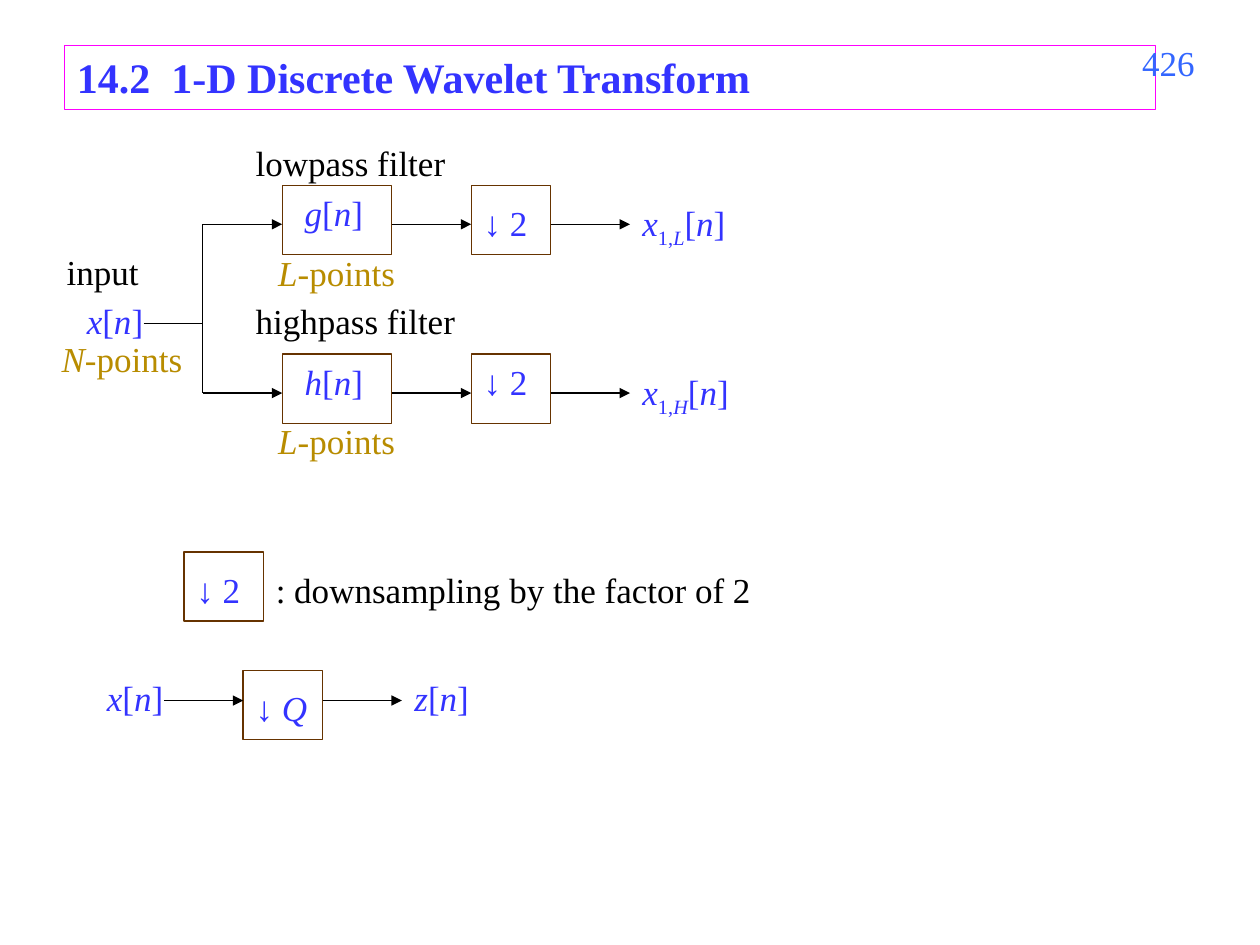
from typing import NamedTuple

from lxml.etree import SubElement
from pptx import Presentation
from pptx.dml.color import RGBColor
from pptx.enum.shapes import MSO_CONNECTOR, MSO_SHAPE
from pptx.enum.text import MSO_ANCHOR, MSO_AUTO_SIZE, PP_ALIGN
from pptx.oxml.ns import qn
from pptx.util import Inches, Pt

FONT = "Times New Roman"
COLORS = {
    "blue": "3333FF",
    "number": "3366FF",
    "black": "000000",
    "gold": "B88C00",
    "box": "663300",
    "frame": "FF00FF",
}
BOX_H = 0.55
FILTER_W, DOWN_W = 0.87, 0.63
ARROW = 0.63
X_SPLIT, X_FILTER = 1.61, 2.24
X_DOWN = X_FILTER + FILTER_W + ARROW
X_OUT = X_DOWN + DOWN_W + ARROW


class Run(NamedTuple):
    text: str
    italic: bool = False
    sub: bool = False


class Label(NamedTuple):
    x: float
    y: float
    w: float
    runs: list[Run]
    color: str = "blue"


class Branch(NamedTuple):
    top: float
    filter_name: str
    subscript: str
    down_y: float
    caption: str
    caption_y: float
    points_y: float


def color(name: str) -> RGBColor:
    return RGBColor.from_string(COLORS[name])


def signal(name: str, subscript: str = "") -> list[Run]:
    """Runs of a sequence such as x[n], with an optional subscript 1,L."""
    subs = [Run("1,", sub=True), Run(subscript, True, True)] if subscript else []
    return [Run(name, True), *subs, Run("["), Run("n", True), Run("]")]


def points(name: str) -> list[Run]:
    return [Run(name, True), Run("-points")]


def add_runs(p, runs: list[Run], color_name: str, size: int = 20, bold: bool = False) -> None:
    for run in runs:
        r = p.add_run()
        r.text = run.text
        r.font.name = FONT
        r.font.size = Pt(size)
        r.font.bold = bold
        r.font.italic = run.italic
        r.font.color.rgb = color(color_name)
        if run.sub:
            r.font._element.set("baseline", "-25000")


def add_label(s, label: Label, align=PP_ALIGN.LEFT) -> None:
    sp = s.shapes.add_textbox(Inches(label.x), Inches(label.y), Inches(label.w), Inches(0.43))
    tf = sp.text_frame
    tf.word_wrap = True
    p = tf.paragraphs[0]
    p.alignment = align
    add_runs(p, label.runs, label.color)


def add_box(s, x: float, y: float, w: float) -> None:
    sp = s.shapes.add_shape(MSO_SHAPE.RECTANGLE, Inches(x), Inches(y), Inches(w), Inches(BOX_H))
    sp.shadow.inherit = False
    sp.fill.background()
    sp.line.color.rgb = color("box")
    sp.line.width = Pt(0.75)


def add_line(s, x1: float, y1: float, x2: float, y2: float, arrow: bool = False) -> None:
    c = s.shapes.add_connector(
        MSO_CONNECTOR.STRAIGHT, Inches(x1), Inches(y1), Inches(x2), Inches(y2))
    c.line.color.rgb = color("black")
    c.line.width = Pt(0.75)
    if arrow:
        SubElement(c.line._get_or_add_ln(), qn("a:tailEnd"), type="triangle")
    SubElement(c._element.spPr, qn("a:effectLst"))


def add_arrow(s, x: float, y: float) -> None:
    add_line(s, x, y, x + ARROW, y, arrow=True)


def add_downsampler(s, x: float, y: float, text_y: float, factor: Run) -> None:
    add_box(s, x, y, DOWN_W)
    add_label(s, Label(x, text_y, 0.87, [Run("↓ "), factor]))


def add_branch(s, b: Branch) -> None:
    """One filter path: filter box, downsampler and output signal."""
    mid = b.top + 0.31
    add_box(s, X_FILTER, b.top, FILTER_W)
    add_label(s, Label(2.32, b.top, 0.87, signal(b.filter_name)))
    add_downsampler(s, X_DOWN, b.top, b.down_y, Run("2"))
    for x in (X_SPLIT, X_FILTER + FILTER_W, X_DOWN + DOWN_W):
        add_arrow(s, x, mid)
    add_label(s, Label(X_OUT, b.top + 0.08, 1.42, signal("x", b.subscript)))
    add_label(s, Label(1.93, b.caption_y, 1.81, [Run(b.caption)], "black"))
    add_label(s, Label(2.11, b.points_y, 1.25, points("L"), "gold"))


def add_title(s) -> None:
    sp = s.shapes.title
    sp.left, sp.top, sp.width, sp.height = (Inches(v) for v in (0.51, 0.36, 8.66, 0.51))
    sp.line.color.rgb = color("frame")
    sp.line.width = Pt(0.75)
    tf = sp.text_frame
    tf.word_wrap = True
    tf.auto_size = MSO_AUTO_SIZE.NONE
    tf.vertical_anchor = MSO_ANCHOR.TOP
    p = tf.paragraphs[0]
    p.alignment = PP_ALIGN.LEFT
    tabs = SubElement(p._p.get_or_add_pPr(), qn("a:tabLst"))
    SubElement(tabs, qn("a:tab"), pos=str(Inches(0.75)), algn="l")
    add_runs(p, [Run("14.2\t1-D Discrete Wavelet Transform")], "blue", 24, True)


def main() -> None:
    prs = Presentation()
    prs.slide_width, prs.slide_height = Inches(10), Inches(7.5)
    s = prs.slides.add_slide(prs.slide_layouts[5])
    add_title(s)
    add_label(s, Label(8.7, 0.28, 0.88, [Run("426")], "number"), PP_ALIGN.RIGHT)

    # Two-channel analysis filter bank
    for branch in (
        Branch(1.47, "g", "L", 1.55, "lowpass filter", 1.07, 1.95),
        Branch(2.81, "h", "H", 2.81, "highpass filter", 2.33, 3.28),
    ):
        add_branch(s, branch)
    add_line(s, 1.14, 2.57, X_SPLIT, 2.57)
    add_line(s, X_SPLIT, 1.78, X_SPLIT, 3.12)

    # Meaning of the downsampling boxes
    add_downsampler(s, 1.46, 4.38, 4.46, Run("2"))
    add_downsampler(s, 1.93, 5.32, 5.4, Run("Q", True))
    for x in (1.3, 1.93 + DOWN_W):
        add_arrow(s, x, 5.56)

    for label in (
        Label(0.43, 1.94, 1.42, [Run("input")], "black"),
        Label(0.59, 2.33, 1.02, signal("x")),
        Label(0.39, 2.63, 1.25, points("N"), "gold"),
        Label(2.09, 4.46, 4.49, [Run(": downsampling by the factor of 2")], "black"),
        Label(0.75, 5.32, 1.02, signal("x")),
        Label(3.19, 5.32, 1.02, signal("z")),
    ):
        add_label(s, label)
    prs.save("out.pptx")


if __name__ == "__main__":
    main()
